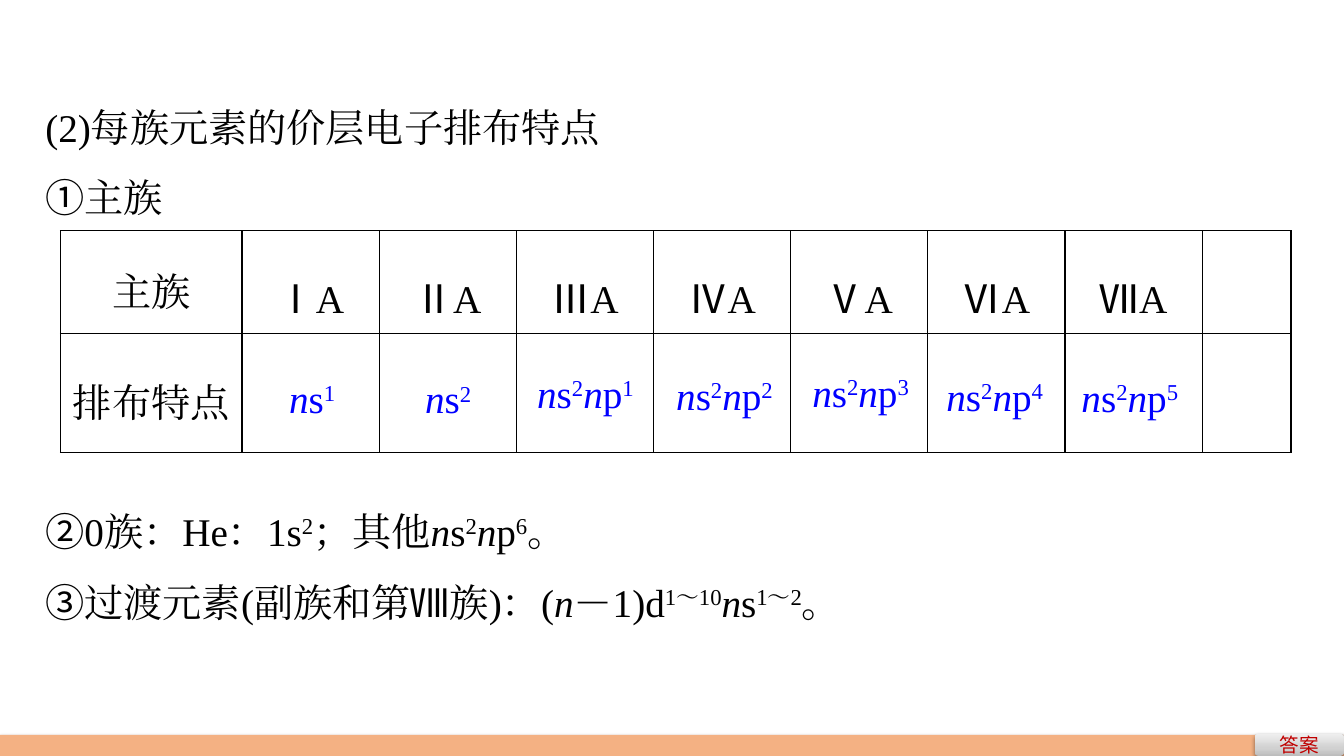
from copy import deepcopy
from dataclasses import dataclass

from lxml import etree
from pptx import Presentation
from pptx.dml.color import RGBColor as RGB
from pptx.enum.shapes import MSO_SHAPE as Shape
from pptx.enum.text import MSO_ANCHOR as Anchor, MSO_AUTO_SIZE as Fit, PP_ALIGN as Align
from pptx.oxml import parse_xml
from pptx.oxml.ns import nsdecls, qn
from pptx.util import Pt


@dataclass(frozen=True)
class Theme:
    text: str = "000000"
    answer: str = "0000FF"
    button_text: str = "C00000"
    footer: str = "F4B183"
    button: tuple = ((0, "BDBDBD"), (0.35, "D1D1D1"), (1, "EEEEEE"))
    body_size: int = 28
    button_size: int = 14
    serif: str = "Times New Roman"
    sans: str = "Noto Sans CJK SC"


THEME = Theme()

HEADING = ["(2)每族元素的价层电子排布特点", "@①|主族"]
RULES = [
    "@②|0族：He：1s|^2|；其他|/n|s|^2|/n|p|^6|。",
    "@③|过渡元素(副族和第|@Ⅷ|族)：(|/n|－1)d|^1～10|/n|s|^1～2|。",
]
GROUPS = "ⅠⅡⅢⅣⅤⅥⅦ"
COLUMN_WIDTHS = [129.6] + [98] * len(GROUPS) + [63.4]
ROW_HEIGHTS = [73.4, 85]
ANSWERS = [
    ("/n|s|^1", 199.4, 263.5),
    ("/n|s|^2", 296.6, 264.2),
    ("/n|s|^2|/n|p|^1", 376.6, 259.9),
    ("/n|s|^2|/n|p|^2", 475.9, 261.4),
    ("/n|s|^2|/n|p|^3", 573.1, 259.2),
    ("/n|s|^2|/n|p|^4", 668.9, 262.1),
    ("/n|s|^2|/n|p|^5", 765.4, 262.8),
]


def write(paragraph, text, size=THEME.body_size, color=THEME.text, align=Align.LEFT, spacing=None):
    """Pieces are split by |, with ^ for superscript, / for italic and @ for the sans font."""
    paragraph.alignment = align
    if spacing:
        paragraph.line_spacing = spacing
    for piece in text.split("|"):
        mark = piece[0] if piece[0] in "^/@" else ""
        run = paragraph.add_run()
        run.text = piece[len(mark):]
        font = run.font
        font.size = Pt(size)
        font.color.rgb = RGB.from_string(color)
        font.name = THEME.sans if mark == "@" else THEME.serif
        font.italic = mark == "/"
        properties = run._r.get_or_add_rPr()
        etree.SubElement(properties, qn("a:ea"), typeface=font.name)
        if mark == "^":
            properties.set("baseline", "30000")


def fill_placeholder(placeholder, lines, top, aligns):
    placeholder.left, placeholder.top = Pt(23), Pt(top)
    placeholder.width, placeholder.height = Pt(896.4), Pt(105)
    frame = placeholder.text_frame
    frame.word_wrap = True
    frame.auto_size = Fit.SHAPE_TO_FIT_TEXT
    frame.vertical_anchor = Anchor.TOP
    frame.margin_left = frame.margin_right = Pt(9.4)
    frame.margin_top = frame.margin_bottom = Pt(5)
    for index, (line, align) in enumerate(zip(lines, aligns)):
        paragraph = frame.paragraphs[0] if index == 0 else frame.add_paragraph()
        properties = paragraph._p.get_or_add_pPr()
        properties.set("marL", "0")
        properties.set("indent", "0")
        etree.SubElement(properties, qn("a:buNone"))
        paragraph.space_before = Pt(0)
        write(paragraph, line, align=align, spacing=1.5)


def format_cell(cell, text):
    cell.vertical_anchor = Anchor.MIDDLE
    cell.margin_left = cell.margin_right = Pt(5)
    cell.margin_top = cell.margin_bottom = Pt(0)
    if text:
        write(cell.text_frame.paragraphs[0], text, align=Align.CENTER, spacing=1.5)
    properties = cell._tc.get_or_add_tcPr()
    for side in ("lnL", "lnR", "lnT", "lnB"):
        properties.append(parse_xml(
            f'<a:{side} {nsdecls("a")} w="{Pt(1)}"><a:solidFill>'
            f'<a:srgbClr val="{THEME.text}"/></a:solidFill></a:{side}>'))
    cell.fill.background()


def add_group_table(slide):
    header = ["主族"] + [f"@{group}|A" for group in GROUPS] + [""]
    features = ["排布特点"] + [""] * (len(header) - 1)
    table = slide.shapes.add_table(
        2, len(header), Pt(43.2), Pt(164.9),
        Pt(sum(COLUMN_WIDTHS)), Pt(sum(ROW_HEIGHTS))).table
    table.first_row = table.horz_banding = False
    for column, width in zip(table.columns, COLUMN_WIDTHS):
        column.width = Pt(width)
    for row, height, texts in zip(table.rows, ROW_HEIGHTS, (header, features)):
        row.height = Pt(height)
        for cell, text in zip(row.cells, texts):
            format_cell(cell, text)


def add_answer(slide, formula, left, top):
    width = 87 if "p" in formula else 49
    frame = slide.shapes.add_textbox(Pt(left), Pt(top), Pt(width), Pt(41)).text_frame
    frame.word_wrap = False
    frame.auto_size = Fit.SHAPE_TO_FIT_TEXT
    write(frame.paragraphs[0], formula, color=THEME.answer)


def add_bar(slide, kind, left, top, width, height):
    bar = slide.shapes.add_shape(kind, Pt(left), Pt(top), Pt(width), Pt(height))
    bar.line.fill.background()
    bar.fill.solid()
    bar.fill.fore_color.rgb = RGB.from_string(THEME.footer)
    bar.shadow.inherit = False
    bar._element.spPr.find(qn("a:effectLst")).append(parse_xml(
        f'<a:outerShdw {nsdecls("a")} blurRad="{Pt(3.1)}" dist="{Pt(1.6)}" dir="5400000" '
        'rotWithShape="0"><a:srgbClr val="000000"><a:alpha val="38000"/></a:srgbClr></a:outerShdw>'))
    return bar


def add_answer_button(slide):
    button = add_bar(slide, Shape.ROUNDED_RECTANGLE, 896.4, 524.2, 63.4, 15.8)
    button.fill.gradient()
    button.fill.gradient_angle = 90
    stops = button._element.spPr.find(qn("a:gradFill")).find(qn("a:gsLst"))
    stops.insert(1, deepcopy(stops[0]))
    for stop, (position, color) in zip(button.fill.gradient_stops, THEME.button):
        stop.position = position
        stop.color.rgb = RGB.from_string(color)
    frame = button.text_frame
    frame.vertical_anchor = Anchor.MIDDLE
    write(frame.paragraphs[0], "@答案", size=THEME.button_size,
          color=THEME.button_text, align=Align.CENTER)


def main():
    deck = Presentation()
    deck.slide_width, deck.slide_height = Pt(960), Pt(540)
    slide = deck.slides.add_slide(deck.slide_layouts[1])
    heading, rules = slide.placeholders
    fill_placeholder(heading, HEADING, 51.8, (Align.LEFT, Align.JUSTIFY))
    add_group_table(slide)
    fill_placeholder(rules, RULES, 340.6, (Align.JUSTIFY, Align.JUSTIFY))
    for formula, left, top in ANSWERS:
        add_answer(slide, formula, left, top)
    add_bar(slide, Shape.RECTANGLE, 0, 524.9, 960, 15.1)
    add_answer_button(slide)
    deck.save("out.pptx")


if __name__ == "__main__":
    main()
